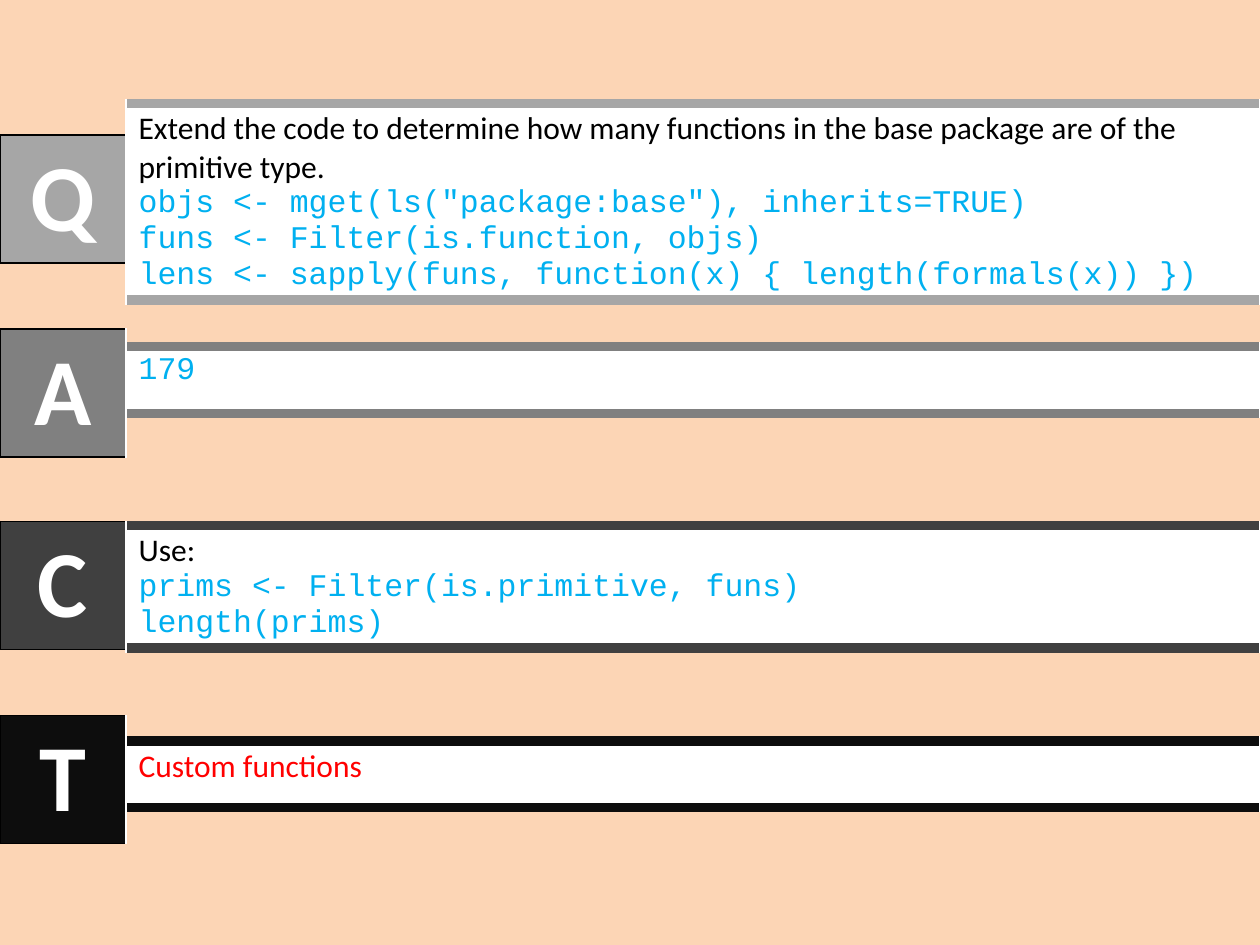
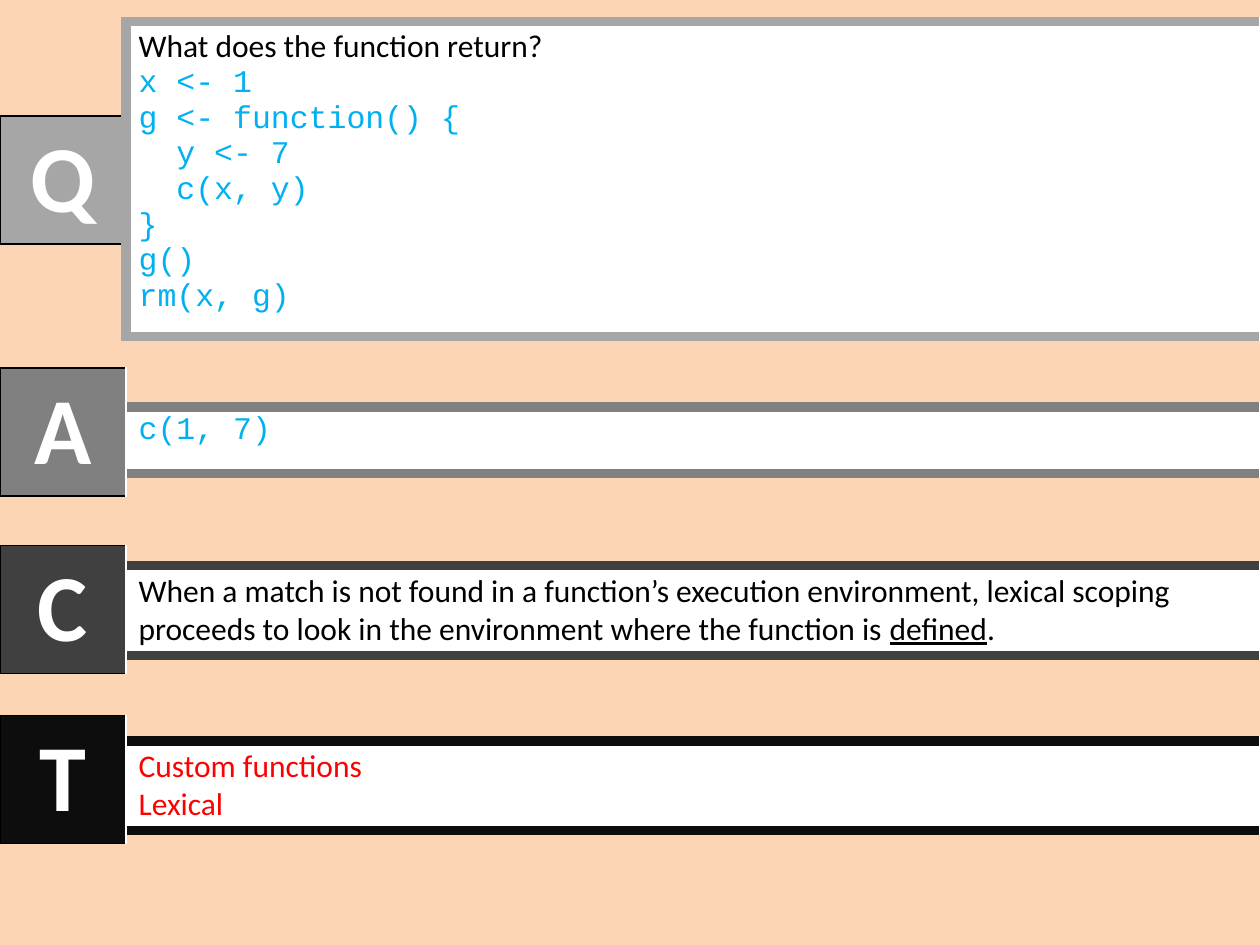
"""Build two question, answer, comment and topic slides about R functions."""
from lxml.etree import SubElement
from pptx import Presentation
from pptx.dml.color import RGBColor
from pptx.enum.text import MSO_ANCHOR, PP_ALIGN
from pptx.oxml.ns import qn
from pptx.util import Pt

PX = 9144
TILE = 100
WIDTH, HEIGHT = 1000, 750
PEACH = RGBColor(0xFC, 0xD5, 0xB5)
WHITE = RGBColor(0xFF, 0xFF, 0xFF)
BLACK = RGBColor(0x00, 0x00, 0x00)
BLUE = RGBColor(0x00, 0xB0, 0xF0)
RED = RGBColor(0xFF, 0x00, 0x00)
SHADES = {
    "Q": RGBColor(0xA6, 0xA6, 0xA6),
    "A": RGBColor(0x80, 0x80, 0x80),
    "C": RGBColor(0x40, 0x40, 0x40),
    "T": RGBColor(0x0D, 0x0D, 0x0D),
}

LETTER = {"name": "Calibri", "size": Pt(54), "bold": True, "color": WHITE}
PLAIN = {"name": "Calibri", "size": Pt(18), "bold": False, "color": BLACK}
UNDER = {**PLAIN, "underline": True}
CODE = {**PLAIN, "name": "Courier New", "color": BLUE}
TOPIC = {**PLAIN, "color": RED}


def add_box(s, left, top, width, height, fill, borders, paragraphs):
    """Add a one-cell table with its borders and text, and return the cell."""
    sp = s.shapes.add_table(1, 1, left * PX, top * PX, width * PX, height * PX)
    sp.table.first_row = sp.table.horz_banding = False
    cell = sp.table.cell(0, 0)
    tcPr = cell._tc.get_or_add_tcPr()
    for side, (color, points) in zip("LRTB", borders):
        ln = SubElement(tcPr, qn(f"a:ln{side}"), w=str(Pt(points)))
        SubElement(SubElement(ln, qn("a:solidFill")), qn("a:srgbClr"), val=str(color))
    cell.fill.solid()
    cell.fill.fore_color.rgb = fill
    tf = cell.text_frame
    for i, runs in enumerate(paragraphs):
        p = tf.add_paragraph() if i else tf.paragraphs[0]
        for text, style in runs:
            r = p.add_run()
            r.text = text
            for key, value in style.items():
                if key == "color":
                    r.font.color.rgb = value
                else:
                    setattr(r.font, key, value)
    return cell


def lines(style, *texts):
    """Return one single-run paragraph for each text."""
    return [[(text, style)] for text in texts]


SLIDES = [
    [
        ("Q", 107, 82, 156, 1, lines(
            PLAIN,
            "Extend the code to determine how many functions in the base package "
            "are of the primitive type.",
        ) + lines(
            CODE,
            'objs <- mget(ls("package:base"), inherits=TRUE)',
            "funs <- Filter(is.function, objs)",
            "lens <- sapply(funs, function(x) { length(formals(x)) })",
        )),
        ("A", 261, 275, 53, 1, lines(CODE, "179")),
        ("C", 414, 417, 97, 1, lines(PLAIN, "Use:") + lines(
            CODE, "prims <- Filter(is.primitive, funs)", "length(prims)",
        )),
        ("T", 568, 588, 53, 1, lines(TOPIC, "Custom functions")),
    ],
    [
        ("Q", 92, 17, 250, 6, lines(PLAIN, "What does the function return?") + lines(
            CODE,
            "x <- 1",
            "g <- function() {",
            "  y <- 7",
            "  c(x, y)",
            "}",
            "g()",
            "rm(x, g)",
        )),
        ("A", 292, 323, 53, 1, lines(CODE, "c(1, 7)")),
        ("C", 433, 449, 70, 1, [[
            ("When a match is not found in a function’s execution environment, "
             "lexical scoping proceeds to look in the environment where the "
             "function is ", PLAIN),
            ("defined", UNDER),
            (".", PLAIN),
        ]]),
        ("T", 568, 588, 70, 1, lines(TOPIC, "Custom functions", "Lexical")),
    ],
]

prs = Presentation()
prs.slide_width, prs.slide_height = WIDTH * PX, HEIGHT * PX

for blocks in SLIDES:
    s = prs.slides.add_slide(prs.slide_layouts[6])
    s.background.fill.solid()
    s.background.fill.fore_color.rgb = PEACH
    for letter, tile_top, top, height, left_border, paragraphs in blocks:
        shade = SHADES[letter]
        thin, thick = (WHITE, 1), (shade, 6)
        edge = (BLACK, 1)
        tile = add_box(s, 0, tile_top, TILE, TILE, shade,
                       [edge, thin, edge, edge], lines(LETTER, letter))
        tile.vertical_anchor = MSO_ANCHOR.MIDDLE
        tile.text_frame.paragraphs[0].alignment = PP_ALIGN.CENTER
        left = thick if left_border == 6 else thin
        add_box(s, TILE, top, WIDTH - TILE, height, WHITE,
                [left, thin, thick, thick], paragraphs)

prs.save("out.pptx")
